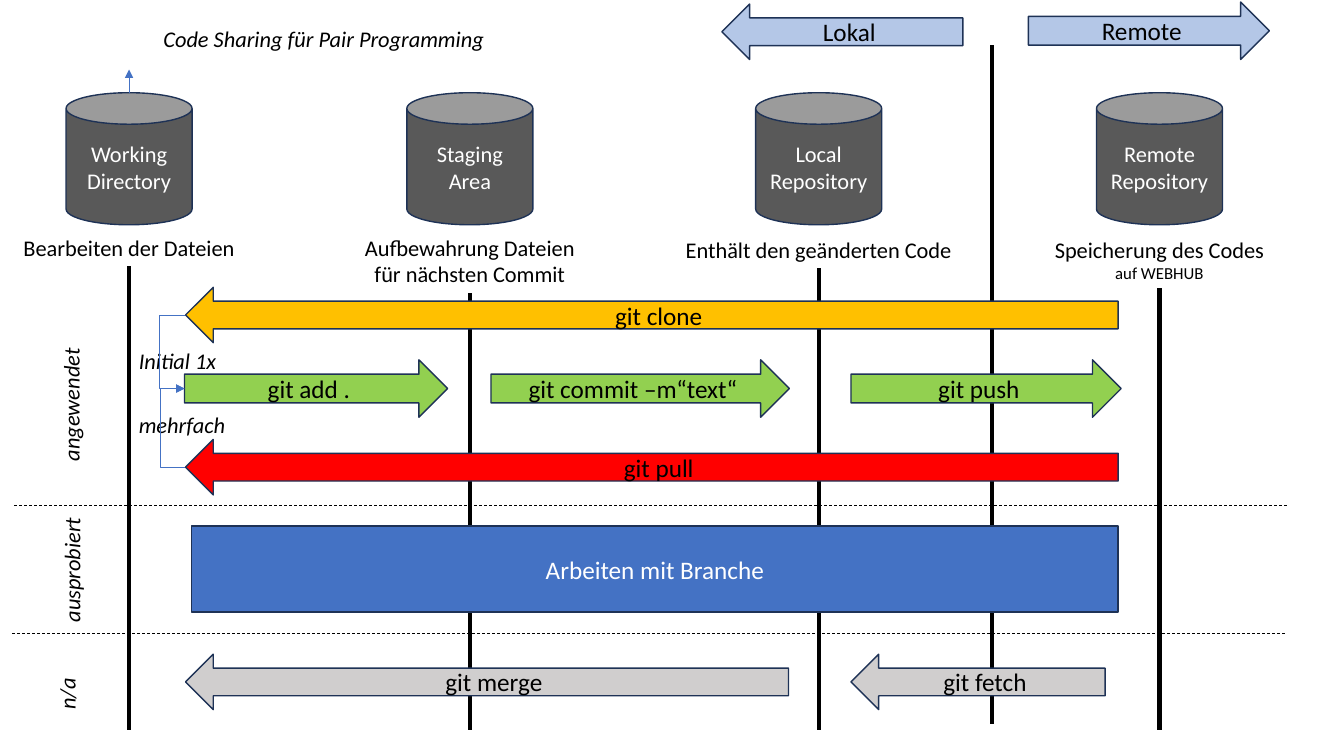
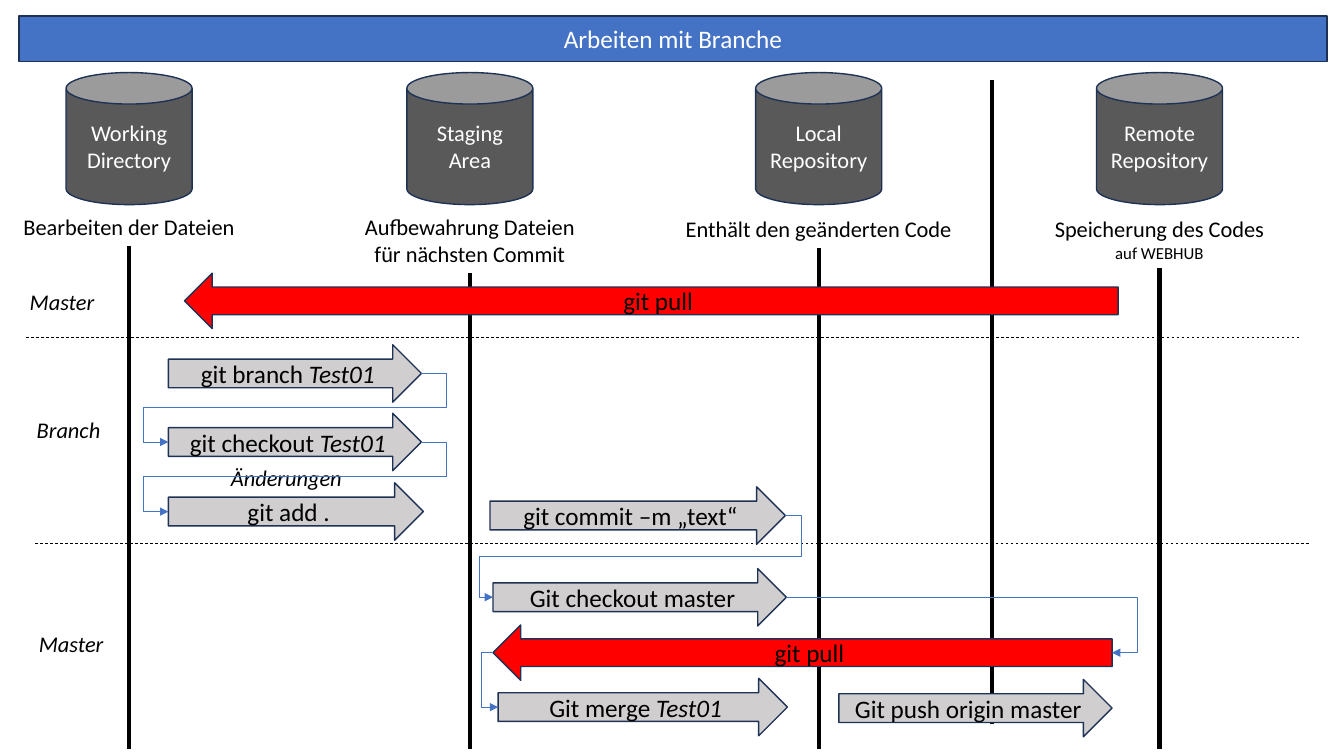
from lxml import etree
from pptx import Presentation
from pptx.dml.color import RGBColor
from pptx.enum.dml import MSO_LINE
from pptx.enum.shapes import MSO_CONNECTOR, MSO_SHAPE
from pptx.enum.text import MSO_ANCHOR, MSO_AUTO_SIZE, PP_ALIGN
from pptx.oxml.ns import qn
from pptx.util import Inches, Pt

CAN, RECT = MSO_SHAPE.CAN, MSO_SHAPE.RECTANGLE
LEFT_ARROW, RIGHT_ARROW = MSO_SHAPE.LEFT_ARROW, MSO_SHAPE.RIGHT_ARROW
STRAIGHT, ELBOW = MSO_CONNECTOR.STRAIGHT, MSO_CONNECTOR.ELBOW
DASH, CENTER, MIDDLE = MSO_LINE.DASH, PP_ALIGN.CENTER, MSO_ANCHOR.MIDDLE
GROW, NO_FIT = MSO_AUTO_SIZE.SHAPE_TO_FIT_TEXT, MSO_AUTO_SIZE.NONE

FONT = "Calibri"
BLACK, WHITE, DARK, OUTLINE = "000000", "FFFFFF", "595959", "1E3256"
BLUE, PALE, GRAY = "4472C4", "B4C7E7", "D0CECE"
GREEN, RED, AMBER = "92D050", "FF0000", "FFC000"
LEFT_SITE, RIGHT_SITE = 1, 3
ARROW_HEIGHT = {LEFT_ARROW: 0.55, RIGHT_ARROW: 0.57}
CAN_WIDTH, CAN_HEIGHT = 1.25, 1.31
DIVIDER_LENGTH = 12.63
BRANCHES = "Arbeiten mit Branche"

# A run is (text, size, italic); a paragraph is a list of runs.
# Store: centre, name lines, caption, caption drop below the can top, caption size, wrap
STORES = [
    (11.5, ["Remote", "Repository"],
     [[("Speicherung des Codes", 16, False)], [("auf WEBHUB", 12, False)]],
     1.37, (3.83, 0.57), True),
    (8.12, ["Local", "Repository"],
     [[("Enthält den geänderten Code", 16, False)]], 1.37, (2.87, 0.37), False),
    (4.66, ["Staging", "Area"],
     [[("Aufbewahrung Dateien", 16, False)], [("für nächsten Commit", 16, False)]],
     1.35, (2.31, 0.64), False),
    (1.28, ["Working", "Directory"],
     [[("Bearbeiten der Dateien", 16, False)]], 1.35, (2.33, 0.37), False),
]

# Arrow: key -> (direction, left, top, width, fill, command, italic argument)
# Note: text, left, top, width, rotation
# Link: (from key, site), (to key, site), x of each vertical leg
OVERVIEW = {
    "stores_top": 0.92, "lanes_end": 7.24, "border_top": 0.45,
    "dividers": [(0.14, 5.01), (0.12, 6.28)],
    "arrows": {
        "remote": (RIGHT_ARROW, 10.2, 0.02, 2.39, PALE, "Remote", ""),
        "local": (LEFT_ARROW, 7.16, 0.04, 2.39, PALE, "Lokal", ""),
        "clone": (LEFT_ARROW, 1.84, 2.85, 9.25, AMBER, "git clone", ""),
        "add": (RIGHT_ARROW, 1.83, 3.57, 2.61, GREEN, "git add .", ""),
        "commit": (RIGHT_ARROW, 4.87, 3.57, 2.96, GREEN, "git commit –m“text“", ""),
        "push": (RIGHT_ARROW, 8.44, 3.57, 2.68, GREEN, "git push", ""),
        "pull": (LEFT_ARROW, 1.84, 4.36, 9.25, RED, "git pull", ""),
        "fetch": (LEFT_ARROW, 8.44, 6.49, 2.52, GRAY, "git fetch", ""),
        "merge": (LEFT_ARROW, 1.84, 6.49, 5.98, GRAY, "git merge", ""),
    },
    "notes": [
        ("angewendet", 0.04, 3.83, 1.33, 270),
        ("ausprobiert", 0.08, 5.47, 1.26, 270),
        ("n/a", 0, 6.7, 1.33, 270),
        ("Code Sharing für Pair Programming", 1.5, 0.2, 3.42, 0),
        ("Initial 1x", 1.27, 3.39, 0.98, 0),
        ("mehrfach", 1.27, 4.03, 1.07, 0),
    ],
    "links": [
        (("clone", LEFT_SITE), ("add", LEFT_SITE), [1.58]),
        (("pull", LEFT_SITE), ("add", LEFT_SITE), [1.59]),
    ],
}
BRANCHING = {
    "stores_top": 0.72, "lanes_end": 7.43, "border_top": 0.79,
    "dividers": [(0.26, 3.35), (0.35, 5.39)],
    "arrows": {
        "first pull": (LEFT_ARROW, 1.83, 2.71, 9.26, RED, "git pull", ""),
        "branch": (RIGHT_ARROW, 1.67, 3.42, 2.51, GRAY, "git branch ", "Test01"),
        "checkout": (RIGHT_ARROW, 1.67, 4.1, 2.51, GRAY, "git checkout ", "Test01"),
        "add": (RIGHT_ARROW, 1.67, 4.79, 2.53, GRAY, "git add .", ""),
        "commit": (RIGHT_ARROW, 4.86, 4.83, 2.93, GRAY, "git commit –m „text“", ""),
        "master": (RIGHT_ARROW, 4.89, 5.64, 2.91, GRAY, "Git checkout master", ""),
        "merge": (RIGHT_ARROW, 4.94, 6.73, 2.87, GRAY, "Git merge ", "Test01"),
        "push": (RIGHT_ARROW, 8.32, 6.74, 2.71, GRAY, "Git push origin master", ""),
        "pull": (LEFT_ARROW, 4.89, 6.2, 6.14, RED, "git pull", ""),
    },
    "notes": [
        ("Master", 0.19, 2.81, 0.85, 0),
        ("Branch", 0.26, 4.08, 0.84, 0),
        ("Änderungen", 2.18, 4.56, 1.32, 0),
        ("Master", 0.28, 6.2, 0.85, 0),
    ],
    "links": [
        (("branch", RIGHT_SITE), ("checkout", LEFT_SITE), [4.43, 1.42]),
        (("checkout", RIGHT_SITE), ("add", LEFT_SITE), [4.43, 1.42]),
        (("commit", RIGHT_SITE), ("master", LEFT_SITE), [7.95, 4.75]),
        (("master", RIGHT_SITE), ("pull", RIGHT_SITE), [11.28]),
        (("pull", LEFT_SITE), ("merge", LEFT_SITE), [4.77]),
    ],
}


def rgb(color):
    """Turn a hex string into a colour."""
    return RGBColor.from_string(color)


def write(frame, paragraphs, color=BLACK):
    """Fill a text frame with centred paragraphs, run by run."""
    for index, runs in enumerate(paragraphs):
        paragraph = frame.add_paragraph() if index else frame.paragraphs[0]
        paragraph.alignment = CENTER
        for text, size, italic in runs:
            run = paragraph.add_run()
            run.text = text
            run.font.name, run.font.size = FONT, Pt(size)
            run.font.italic = italic
            run.font.color.rgb = rgb(color)


def paint(shape, fill, paragraphs, color=BLACK):
    """Give a shape its fill, outline and middle-anchored text."""
    shape.fill.solid()
    shape.fill.fore_color.rgb = rgb(fill)
    shape.line.color.rgb = rgb(OUTLINE)
    shape.line.width = Pt(1)
    shape.text_frame.word_wrap = True
    shape.text_frame.vertical_anchor = MIDDLE
    write(shape.text_frame, paragraphs, color)


def add_block(slide, kind, box, fill, paragraphs, color=BLACK):
    """Add a filled preset shape with text."""
    shape = slide.shapes.add_shape(kind, *map(Inches, box))
    shape.shadow.inherit = False
    paint(shape, fill, paragraphs, color)
    return shape


def add_label(slide, box, paragraphs, wrap=False, rotation=0):
    """Add a text box that grows with its text."""
    label = slide.shapes.add_textbox(*map(Inches, box))
    label.rotation = rotation
    label.text_frame.word_wrap = wrap
    label.text_frame.auto_size = GROW
    write(label.text_frame, paragraphs)


def style_line(line, color, width, arrow=False):
    """Set colour, width and arrowhead of a connector, without shadow."""
    line.line.color.rgb = rgb(color)
    line.line.width = Pt(width)
    properties = line._element.spPr
    if arrow:
        etree.SubElement(properties.find(qn("a:ln")), qn("a:tailEnd"), type="triangle")
    etree.SubElement(properties, qn("a:effectLst"))


def add_line(slide, start, end, color=BLACK, width=3, arrow=False):
    """Add a straight line between two points."""
    line = slide.shapes.add_connector(STRAIGHT, *map(Inches, start + end))
    style_line(line, color, width, arrow)
    return line


def site_point(shape, site):
    """Return the middle of a shape's left or right side."""
    x = shape.left + (shape.width if site == RIGHT_SITE else 0)
    return x, shape.top + shape.height // 2


def add_link(slide, source, target, legs):
    """Join two shapes by an elbow arrow with vertical legs at the given x."""
    start, end = site_point(*source), site_point(*target)
    link = slide.shapes.add_connector(ELBOW, *start, *end)
    link.begin_connect(*source)
    link.end_connect(*target)
    ratios = [(Inches(leg) - start[0]) / (end[0] - start[0]) for leg in legs]
    if len(ratios) == 2:
        ratios.insert(1, 0.5)
    geometry = link._element.spPr.find(qn("a:prstGeom"))
    geometry.set("prst", f"bentConnector{len(ratios) + 2}")
    guides = geometry.find(qn("a:avLst"))
    if guides is None:
        guides = etree.SubElement(geometry, qn("a:avLst"))
    for number, ratio in enumerate(ratios, 1):
        etree.SubElement(guides, qn("a:gd"), name=f"adj{number}",
                         fmla=f"val {round(ratio * 100000)}")
    style_line(link, BLUE, 0.5, arrow=True)


def add_stores(slide, top, lanes_end, border_top):
    """Draw the four stores with captions and lanes, and the local/remote border."""
    for center, name, caption, drop, (width, height), wrap in STORES:
        add_block(slide, CAN, (center - CAN_WIDTH / 2, top, CAN_WIDTH, CAN_HEIGHT),
                  DARK, [[(word, 16, False)] for word in name], WHITE)
        caption_top = top + drop
        add_label(slide, (center - width / 2, caption_top, width, height), caption, wrap)
        add_line(slide, (center, caption_top + height), (center, lanes_end))
    add_line(slide, (9.84, border_top), (9.84, 7.18))


def add_workflow(slide, flow):
    """Draw one complete workflow from its content."""
    add_stores(slide, flow["stores_top"], flow["lanes_end"], flow["border_top"])
    for left, top in flow["dividers"]:
        divider = add_line(slide, (left, top), (left + DIVIDER_LENGTH, top), width=0.5)
        divider.line.dash_style = DASH
    arrows = {}
    for key, (kind, left, top, width, fill, command, argument) in flow["arrows"].items():
        runs = [(command, 18, False)] + ([(argument, 18, True)] if argument else [])
        arrows[key] = add_block(slide, kind, (left, top, width, ARROW_HEIGHT[kind]),
                                fill, [runs])
    for text, left, top, width, rotation in flow["notes"]:
        add_label(slide, (left, top, width, 0.37), [[(text, 16, True)]], rotation=rotation)
    for (source, exit_site), (target, entry_site), legs in flow["links"]:
        add_link(slide, (arrows[source], exit_site), (arrows[target], entry_site), legs)


def add_banner_title(slide, box, text):
    """Turn the title placeholder into a filled banner."""
    title = slide.shapes.title
    title.left, title.top, title.width, title.height = map(Inches, box)
    title.text_frame.auto_size = NO_FIT
    paint(title, BLUE, [[(text, 18, False)]], WHITE)


deck = Presentation()
deck.slide_width, deck.slide_height = Inches(13.33), Inches(7.5)
title_only, blank = deck.slide_layouts[5], deck.slide_layouts[6]

overview = deck.slides.add_slide(blank)
add_workflow(overview, OVERVIEW)
add_line(overview, (1.28, 0.92), (1.28, 0.69), BLUE, 0.5, arrow=True)
add_block(overview, RECT, (1.9, 5.22, 9.19, 0.85), BLUE, [[(BRANCHES, 18, False)]], WHITE)

branching = deck.slides.add_slide(title_only)
add_banner_title(branching, (0.19, 0.16, 12.97, 0.45), BRANCHES)
add_workflow(branching, BRANCHING)

deck.save("out.pptx")
